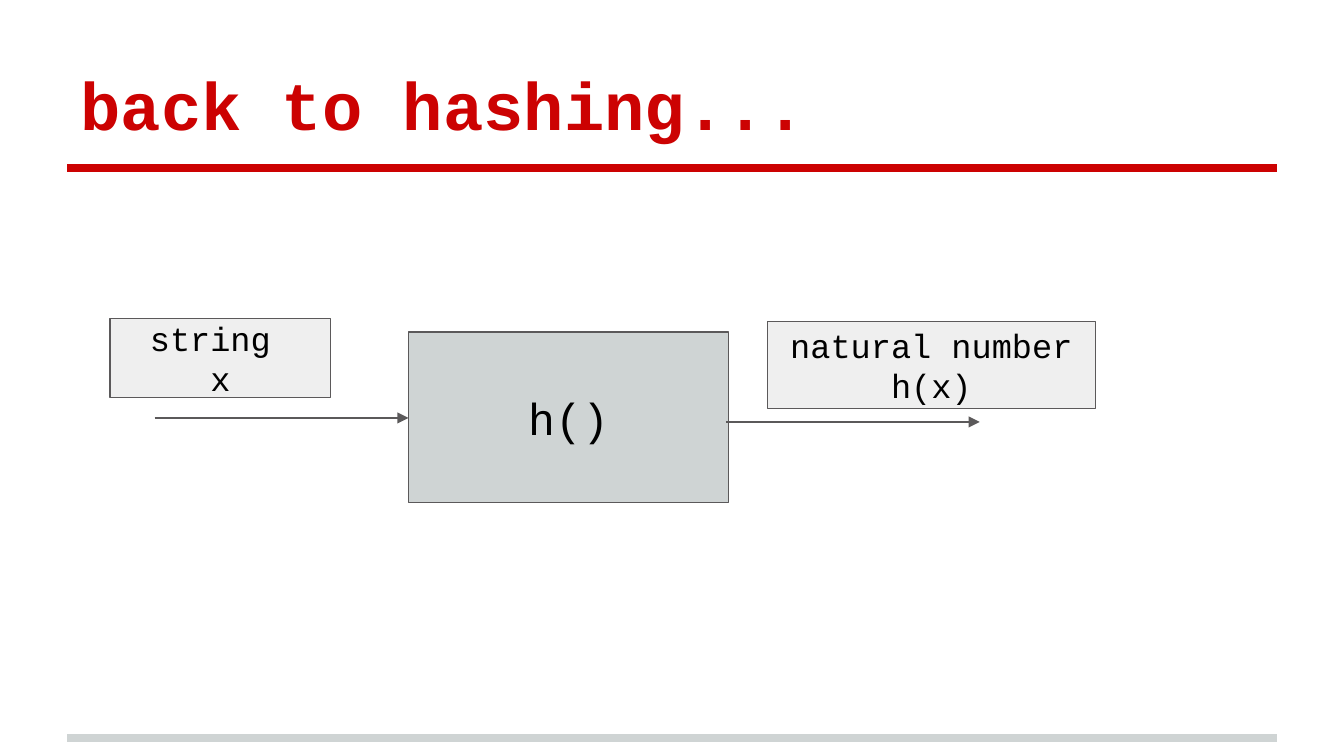
import pptx
import pptx.util
import pptx.dml.color
import pptx.enum.shapes
import pptx.enum.text
import pptx.oxml.ns
import lxml.etree

Inches = pptx.util.Inches
RGBColor = pptx.dml.color.RGBColor
Anchor = pptx.enum.text.MSO_ANCHOR
Align = pptx.enum.text.PP_ALIGN

RED = RGBColor(0xCC, 0x02, 0x02)
SILVER = RGBColor(0xCF, 0xD4, 0xD4)
PALE = RGBColor(0xEF, 0xEF, 0xEF)
DARK = RGBColor(0x5B, 0x59, 0x5A)
BLACK = RGBColor(0, 0, 0)

FONT = "Courier New"
INSET = Inches(0.1)
SLIDE_WIDTH = Inches(10)
SLIDE_HEIGHT = SLIDE_WIDTH * 9 // 16


def apply_format(target, values):
    """Set each attribute named in values on the target."""
    for name, value in values.items():
        setattr(target, name, value)


def write_text(shape, lines, size, anchor, alignment, color=BLACK, bold=False):
    """Fill a shape with one paragraph per line."""
    frame = shape.text_frame
    apply_format(frame, {
        "word_wrap": True, "vertical_anchor": anchor,
        "margin_left": INSET, "margin_right": INSET,
        "margin_top": INSET, "margin_bottom": INSET,
    })
    frame.text = "\n".join(lines)
    for paragraph in frame.paragraphs:
        paragraph.alignment = alignment
        for run in paragraph.runs:
            apply_format(run.font, {
                "name": FONT, "size": pptx.util.Pt(size), "bold": bold})
            run.font.color.rgb = color


def add_title(slide, text):
    """Add the heading above the red rule."""
    box = slide.shapes.add_textbox(
        Inches(0.5), Inches(0.23), Inches(9), Inches(0.94))
    write_text(box, [text], 36, Anchor.BOTTOM, Align.LEFT, RED, True)


def add_box(slide, left, top, width, height, fill, lines, size):
    """Add an outlined rectangle with centred text."""
    box = slide.shapes.add_shape(
        pptx.enum.shapes.MSO_SHAPE.RECTANGLE,
        Inches(left), Inches(top), Inches(width), Inches(height))
    box.shadow.inherit = False
    box.fill.solid()
    box.fill.fore_color.rgb = fill
    box.line.color.rgb = DARK
    box.line.width = pptx.util.Pt(0.75)
    write_text(box, lines, size, Anchor.MIDDLE, Align.CENTER)


def add_line(slide, left, right, y, color, width, arrow=False):
    """Add a horizontal line, with an arrowhead at its right end if asked."""
    line = slide.shapes.add_connector(
        pptx.enum.shapes.MSO_CONNECTOR.STRAIGHT,
        Inches(left), Inches(y), Inches(right), Inches(y))
    line.line.color.rgb = color
    line.line.width = pptx.util.Pt(width)
    qn = pptx.oxml.ns.qn
    properties = line._element.spPr
    if arrow:
        lxml.etree.SubElement(
            properties.find(qn("a:ln")), qn("a:tailEnd"), type="triangle")
    lxml.etree.SubElement(properties, qn("a:effectLst"))


def main():
    """Build and save the hashing slide."""
    presentation = pptx.Presentation()
    apply_format(presentation, {
        "slide_width": SLIDE_WIDTH, "slide_height": SLIDE_HEIGHT})
    slide = presentation.slides.add_slide(presentation.slide_layouts[6])

    for y, color in ((5.49, SILVER), (1.25, RED)):
        add_line(slide, 0.5, 9.5, y, color, 4)
    add_title(slide, "back to hashing...")

    add_box(slide, 3.04, 2.47, 2.38, 1.27, SILVER, ["h()"], 24)
    arrow_length = 1.89
    for start, y in ((1.15, 3.11), (5.4, 3.14)):
        add_line(slide, start, start + arrow_length, y, DARK, 1.5, arrow=True)
    add_box(slide, 0.82, 2.37, 1.64, 0.59, PALE, ["string ", "x"], 18)
    add_box(slide, 5.71, 2.39, 2.44, 0.65, PALE,
            ["natural number ", "h(x)"], 18)

    presentation.save("out.pptx")


main()
